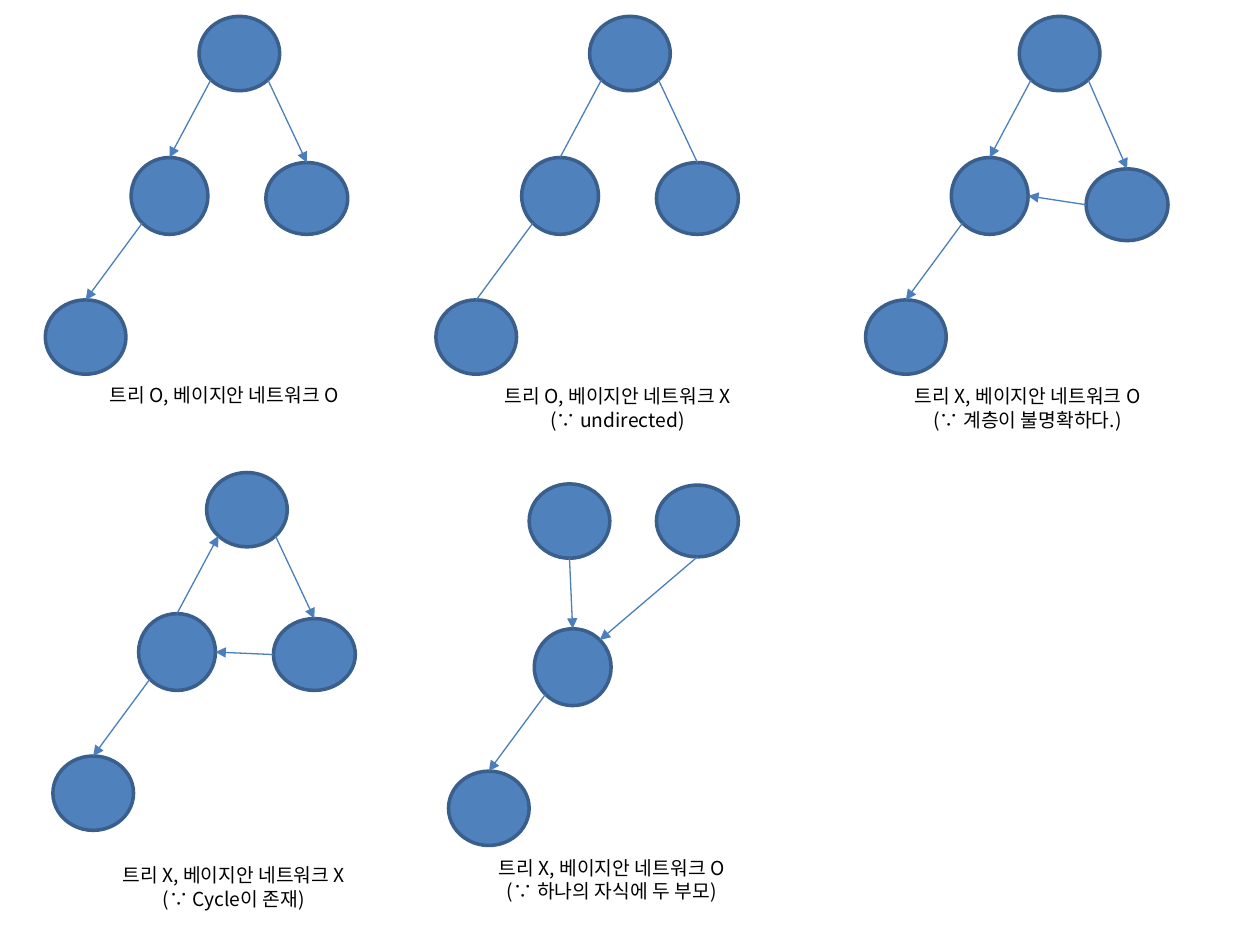
from dataclasses import dataclass
from math import cos, radians, sin

from lxml import etree
from pptx import Presentation
from pptx import util as u
from pptx.dml.color import RGBColor
from pptx.enum import shapes, text
from pptx.oxml.ns import qn

PX = u.Inches(1) // 100  # one px is a hundredth of an inch
NODE_FILL = RGBColor(0x4F, 0x81, 0xBD)
NODE_LINE = RGBColor(0x3A, 0x5F, 0x8C)
EDGE_LINE = RGBColor(0x4B, 0x7E, 0xBC)
INK = RGBColor(0x00, 0x00, 0x00)
FONT = "Noto Sans CJK KR"

# Directions on a node's rim, in degrees clockwise from the right
RIGHT, BOTTOM_RIGHT, BOTTOM, BOTTOM_LEFT = 0, 45, 90, 135
LEFT, TOP, TOP_RIGHT = 180, 270, 315


@dataclass(frozen=True)
class Node:
    x: int
    y: int
    width: int
    height: int

    def rim(self, angle: int) -> tuple[int, int]:
        """Point on the ellipse in the given direction, in EMU."""
        across = self.width / 2 * (1 + cos(radians(angle)))
        down = self.height / 2 * (1 + sin(radians(angle)))
        return round((self.x + across) * PX), round((self.y + down) * PX)


@dataclass(frozen=True)
class Edge:
    source: str
    leaves: int
    target: str
    enters: int
    directed: bool = True


@dataclass(frozen=True)
class Caption:
    x: int
    y: int
    width: int
    height: int
    lines: tuple[str, ...]


@dataclass(frozen=True)
class Graph:
    x: int
    y: int
    nodes: dict[str, Node]
    edges: tuple[Edge, ...]
    caption: Caption


# Node places relative to each graph's corner
TREE = {
    "root": Node(122, 0, 64, 59),
    "middle": Node(68, 112, 61, 61),
    "side": Node(175, 116, 65, 57),
    "leaf": Node(0, 225, 64, 59),
}
LOW_SIDE = TREE | {"side": Node(175, 121, 65, 57)}
TWO_PARENTS = TREE | {
    "root": Node(64, -3, 64, 59),
    "side": Node(165, -2, 65, 57),
}

# Edges shared by several graphs
ROOT_MIDDLE = Edge("root", BOTTOM_LEFT, "middle", TOP)
ROOT_SIDE = Edge("root", BOTTOM_RIGHT, "side", TOP)
MIDDLE_LEAF = Edge("middle", BOTTOM_LEFT, "leaf", TOP)
SIDE_MIDDLE = Edge("side", LEFT, "middle", RIGHT)
TREE_EDGES = (ROOT_MIDDLE, ROOT_SIDE, MIDDLE_LEAF)
UNDIRECTED = tuple(
    Edge(e.source, e.leaves, e.target, e.enters, directed=False) for e in TREE_EDGES
)

GRAPHS = (
    Graph(36, 13, TREE, TREE_EDGES,
          Caption(66, 299, 224, 29, ("트리 O, 베이지안 네트워크 O",))),
    Graph(346, 13, TREE, UNDIRECTED,
          Caption(379, 300, 222, 47,
                  ("트리 O, 베이지안 네트워크 X", "(∵ undirected)"))),
    Graph(687, 13, LOW_SIDE, TREE_EDGES + (SIDE_MIDDLE,),
          Caption(704, 300, 223, 47,
                  ("트리 X, 베이지안 네트워크 O", "(∵ 계층이 불명확하다.)"))),
    Graph(42, 375, TREE,
          (Edge("middle", TOP, "root", BOTTOM_LEFT), ROOT_SIDE, SIDE_MIDDLE, MIDDLE_LEAF),
          Caption(74, 680, 223, 47,
                  ("트리 X, 베이지안 네트워크 X", "(∵ Cycle이 존재)"))),
    Graph(356, 387, TWO_PARENTS,
          (Edge("root", BOTTOM, "middle", TOP),
           Edge("side", BOTTOM, "middle", TOP_RIGHT), MIDDLE_LEAF),
          Caption(374, 674, 223, 47,
                  ("트리 X, 베이지안 네트워크 O", "(∵ 하나의 자식에 두 부모)"))),
)


def draw_node(page, node: Node) -> None:
    oval = page.shapes.add_shape(
        shapes.MSO_SHAPE.OVAL,
        node.x * PX, node.y * PX, node.width * PX, node.height * PX)
    oval.shadow.inherit = False
    oval.fill.solid()
    oval.fill.fore_color.rgb = NODE_FILL
    oval.line.color.rgb = NODE_LINE
    oval.line.width = u.Pt(2)


def draw_edge(page, edge: Edge, nodes: dict[str, Node]) -> None:
    start = nodes[edge.source].rim(edge.leaves)
    end = nodes[edge.target].rim(edge.enters)
    line = page.shapes.add_connector(shapes.MSO_CONNECTOR.STRAIGHT, *start, *end)
    line.line.color.rgb = EDGE_LINE
    line.line.width = u.Pt(0.75)
    if edge.directed:
        etree.SubElement(line.line._get_or_add_ln(), qn("a:tailEnd"), type="triangle")
    # An empty effect list switches the theme shadow off
    etree.SubElement(line._element.spPr, qn("a:effectLst"))


def draw_caption(page, caption: Caption) -> None:
    box = page.shapes.add_textbox(
        caption.x * PX, caption.y * PX, caption.width * PX, caption.height * PX)
    frame = box.text_frame
    frame.word_wrap = False
    frame.auto_size = text.MSO_AUTO_SIZE.SHAPE_TO_FIT_TEXT
    for index, words in enumerate(caption.lines):
        para = frame.add_paragraph() if index else frame.paragraphs[0]
        para.alignment = text.PP_ALIGN.CENTER
        para.line_spacing = u.Pt(13.5)
        span = para.add_run()
        span.text = words
        span.font.size = u.Pt(11)
        span.font.color.rgb = INK
        span.font.name = FONT
        # Korean letters take the East Asian font
        etree.SubElement(span.font._element, qn("a:ea"), typeface=FONT)


def draw_graph(page, graph: Graph) -> None:
    placed = {
        name: Node(graph.x + node.x, graph.y + node.y, node.width, node.height)
        for name, node in graph.nodes.items()
    }
    for node in placed.values():
        draw_node(page, node)
    for edge in graph.edges:
        draw_edge(page, edge, placed)
    draw_caption(page, graph.caption)


def main() -> None:
    deck = Presentation()
    deck.slide_width, deck.slide_height = 1000 * PX, 750 * PX
    page = deck.slides.add_slide(deck.slide_layouts[6])  # blank: there is no title
    for graph in GRAPHS:
        draw_graph(page, graph)
    deck.save("out.pptx")


if __name__ == "__main__":
    main()
